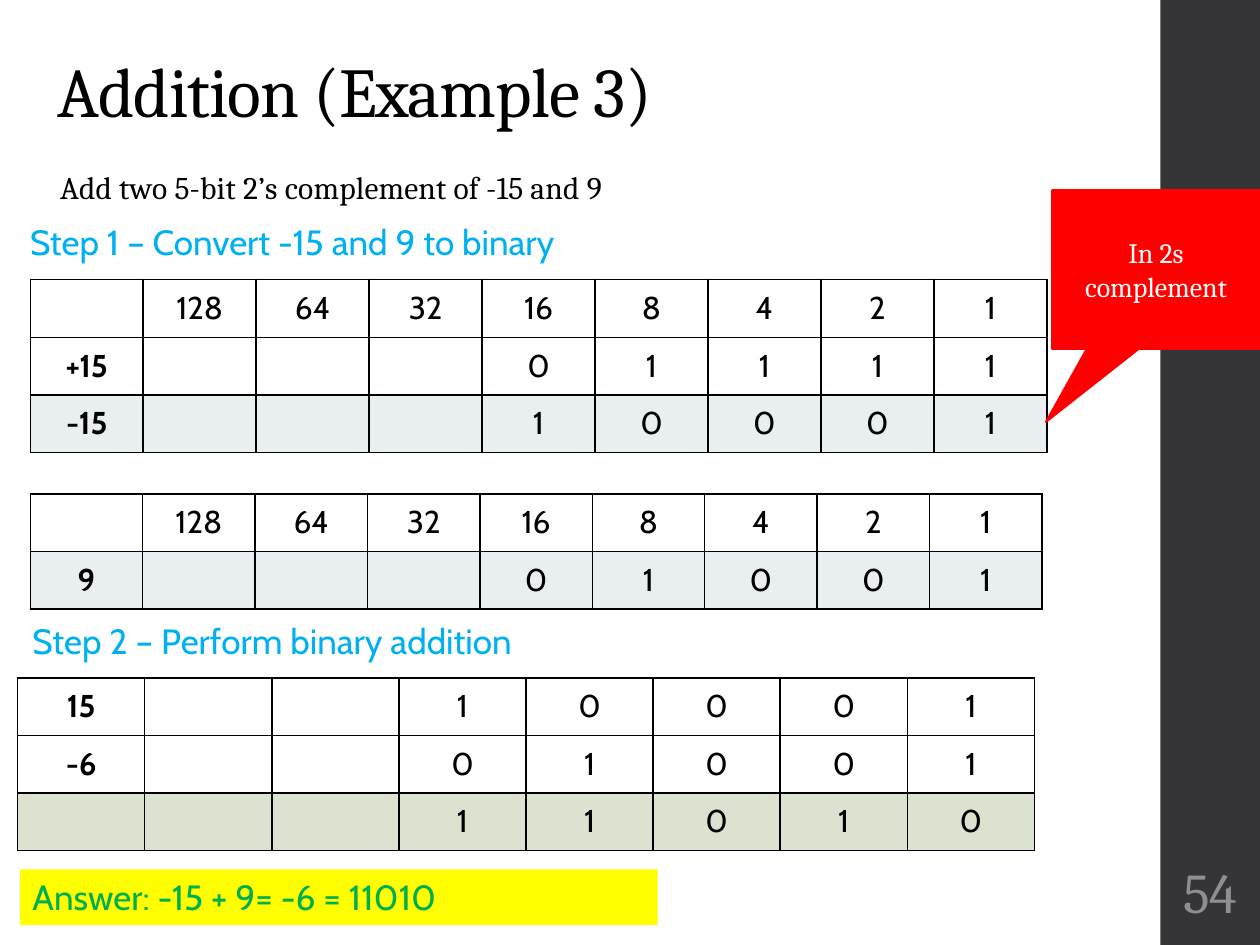
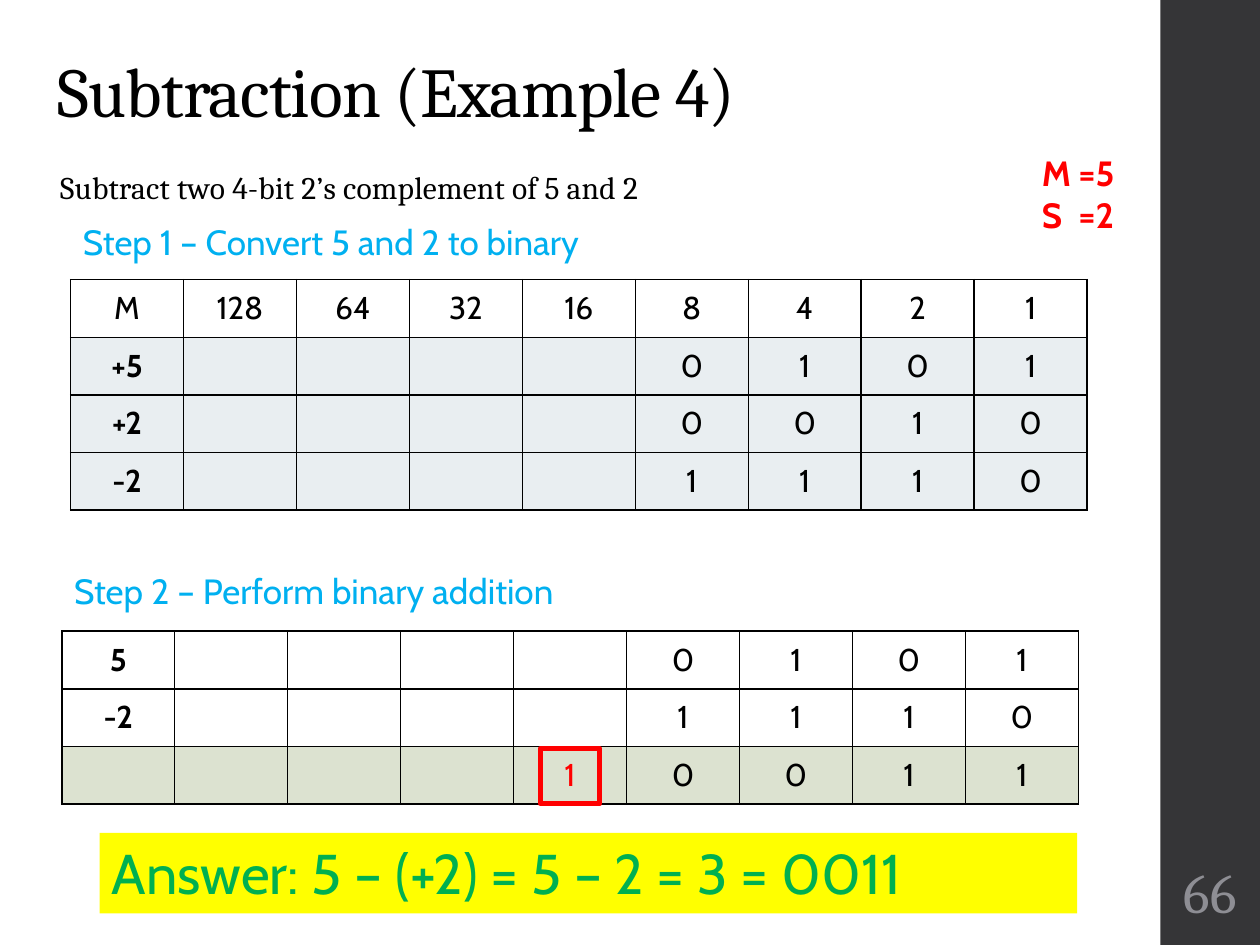
from dataclasses import dataclass

from lxml import etree
from pptx import Presentation
from pptx.dml.color import RGBColor
from pptx.enum import shapes, text
from pptx.oxml import ns
from pptx.util import Inches, Pt


@dataclass(frozen=True)
class Theme:
    serif: str = "Cambria"
    sans: str = "Cabin"
    ink: str = "000000"
    white: str = "FFFFFF"
    band: str = "353537"
    number: str = "8E8E94"
    step: str = "00B0F0"
    answer: str = "00B050"
    answer_fill: str = "FFFF00"
    accent: str = "FF0000"
    operand_fill: str = "E9EEF1"
    result_fill: str = "DCE2D0"
    title_size: int = 40
    number_size: int = 32
    big_answer_size: int = 32
    step_size: int = 20
    body_size: int = 18
    callout_size: int = 16


T = Theme()
PLACES = ["128", "64", "32", "16", "8", "4", "2", "1"]
ROW_HEIGHT = 0.457


def rgb(color):
    return RGBColor.from_string(color)


def style(p, size, color=T.ink, font=T.sans, bold=False, align=None):
    p.alignment = align
    p.font.name = font
    p.font.size = Pt(size)
    p.font.bold = bold
    p.font.color.rgb = rgb(color)


def add_text(slide, box, words, size, color=T.ink, font=T.sans, spacing=None,
             anchor=text.MSO_ANCHOR.TOP, align=None, line=None, fill=None):
    """Add one line of text; spacing is in hundredths of a point."""
    sp = slide.shapes.add_textbox(*map(Inches, box))
    tf = sp.text_frame
    tf.word_wrap = True
    tf.vertical_anchor = anchor
    p = tf.paragraphs[0]
    r = p.add_run()
    r.text = words
    style(p, size, color, font, align=align)
    if spacing:
        r._r.get_or_add_rPr().set("spc", str(spacing))
    if line:
        p.line_spacing = line
    if fill:
        sp.fill.solid()
        sp.fill.fore_color.rgb = rgb(fill)
    return sp


def add_block(slide, kind, box, fill=None, line=None, width=1):
    sp = slide.shapes.add_shape(kind, *map(Inches, box))
    sp.shadow.inherit = False
    if fill:
        sp.fill.solid()
        sp.fill.fore_color.rgb = rgb(fill)
    else:
        sp.fill.background()
    if line:
        sp.line.color.rgb = rgb(line)
        sp.line.width = Pt(width)
    else:
        sp.line.fill.background()
    return sp


def add_borders(cell):
    tc_pr = cell._tc.get_or_add_tcPr()
    for side in ("a:lnL", "a:lnR", "a:lnT", "a:lnB"):
        ln = etree.SubElement(tc_pr, ns.qn(side), w=str(Pt(1)))
        solid = etree.SubElement(ln, ns.qn("a:solidFill"))
        etree.SubElement(solid, ns.qn("a:srgbClr"), val=T.ink)


def add_bit_table(slide, left, top, rows, columns=9, width=8.07, header=None):
    """Rows are (label, bits, fill); bits are aligned to the right."""
    grid = [(label, list(bits), fill) for label, bits, fill in rows]
    if header is not None:
        grid.insert(0, (header, PLACES, None))
    table = slide.shapes.add_table(
        len(grid), columns, Inches(left), Inches(top),
        Inches(width), Inches(ROW_HEIGHT * len(grid))).table
    table.first_row = table.horz_banding = False
    for col in table.columns:
        col.width = Inches(width / columns)
    for i, (label, bits, fill) in enumerate(grid):
        table.rows[i].height = Inches(ROW_HEIGHT)
        padding = [""] * (columns - 1 - len(bits))
        for j, words in enumerate([label, *padding, *bits]):
            cell = table.cell(i, j)
            cell.vertical_anchor = text.MSO_ANCHOR.MIDDLE
            p = cell.text_frame.paragraphs[0]
            if words:
                p.add_run().text = words
            is_label = j == 0 and bits is not PLACES
            style(p, T.body_size, bold=is_label, align=text.PP_ALIGN.CENTER)
            add_borders(cell)
            if fill:
                cell.fill.solid()
                cell.fill.fore_color.rgb = rgb(fill)
            else:
                cell.fill.background()
    return table


def add_step(slide, left, top, words):
    add_text(slide, (left, top, 5.06, 0.44), words, T.step_size, T.step)


def add_answer(slide, box, words, size):
    add_text(slide, box, words, size, T.answer, fill=T.answer_fill)


def add_callout(slide, box, words, tip):
    sp = add_block(slide, shapes.MSO_SHAPE.RECTANGULAR_CALLOUT, box,
                   T.accent, T.accent, 1.1)
    sp.adjustments[0], sp.adjustments[1] = tip
    tf = sp.text_frame
    tf.word_wrap = True
    tf.vertical_anchor = text.MSO_ANCHOR.MIDDLE
    p = tf.paragraphs[0]
    p.add_run().text = words
    style(p, T.callout_size, T.white, T.serif, align=text.PP_ALIGN.CENTER)


def add_operands(slide, box, operands):
    """List the operands, with their equals signs on one tab stop."""
    tf = slide.shapes.add_textbox(*map(Inches, box)).text_frame
    tf.word_wrap = True
    for i, (name, value) in enumerate(operands):
        p = tf.add_paragraph() if i else tf.paragraphs[0]
        p.add_run().text = f"{name}\t={value}"
        tabs = etree.SubElement(p._p.get_or_add_pPr(), ns.qn("a:tabLst"))
        etree.SubElement(tabs, ns.qn("a:tab"), pos=str(Inches(0.29)), algn="l")
        style(p, T.step_size, T.accent, bold=True)


def add_base(prs, title, task, number):
    """Add a slide with the side band, title, task line and slide number."""
    slide = prs.slides.add_slide(prs.slide_layouts[6])
    add_block(slide, shapes.MSO_SHAPE.RECTANGLE, (9.21, 0, 0.79, 7.5), T.band)
    add_text(slide, (0.36, 0.29, 8.63, 0.81), title, T.title_size,
             font=T.serif, spacing=-50, line=0.9, anchor=text.MSO_ANCHOR.BOTTOM)
    add_text(slide, (0.38, 1.31, 8.63, 0.47), task, T.body_size,
             font=T.serif, spacing=10, line=0.95)
    sp = add_text(slide, (9.23, 6.75, 0.75, 0.65), number, T.number_size,
                  T.number, T.serif, anchor=text.MSO_ANCHOR.MIDDLE,
                  align=text.PP_ALIGN.CENTER)
    sp.text_frame.margin_left = sp.text_frame.margin_right = Inches(0.03)
    return slide


def build_addition(prs):
    slide = add_base(prs, "Addition (Example 3)",
                     "Add two 5-bit 2’s complement of -15 and 9", "54")
    # Step 1: operands in binary
    add_step(slide, 0.14, 1.7, "Step 1 – Convert -15 and 9 to binary")
    add_bit_table(slide, 0.24, 2.22, [("+15", "01111", None),
                                      ("-15", "10001", T.operand_fill)],
                  header="")
    add_bit_table(slide, 0.24, 3.92, [("9", "01001", T.operand_fill)],
                  width=8.03, header="")
    add_callout(slide, (8.35, 1.51, 1.65, 1.26), "In 2s complement",
                (-0.53, 0.96))
    # Step 2: sum
    add_step(slide, 0.16, 4.87, "Step 2 – Perform binary addition")
    add_bit_table(slide, 0.14, 5.38, [("15", "10001", None),
                                      ("-6", "01001", None),
                                      ("", "11010", T.result_fill)], columns=8)
    add_answer(slide, (0.16, 6.9, 5.06, 0.44),
               "Answer: -15 + 9= -6 = 11010", T.step_size)


def build_subtraction(prs):
    slide = add_base(prs, "Subtraction (Example 4)",
                     "Subtract two 4-bit 2’s complement of 5 and 2", "66")
    add_operands(slide, (8.17, 1.15, 0.95, 0.77), [("M", 5), ("S", 2)])
    # Step 1: operands in binary
    add_step(slide, 0.56, 1.7, "Step 1 – Convert 5 and 2 to binary")
    add_bit_table(slide, 0.56, 2.22, [("+5", "0101", T.operand_fill),
                                      ("+2", "0010", T.operand_fill),
                                      ("-2", "1110", T.operand_fill)],
                  header="M")
    # Step 2: sum, with the carry bit marked
    add_step(slide, 0.49, 4.47, "Step 2 – Perform binary addition")
    total = add_bit_table(slide, 0.49, 5.01, [("5", "0101", None),
                                              ("-2", "1110", None),
                                              ("", "10011", T.result_fill)])
    carry = total.cell(2, 4).text_frame.paragraphs[0]
    carry.font.color.rgb = rgb(T.accent)
    add_block(slide, shapes.MSO_SHAPE.RECTANGLE, (4.29, 5.94, 0.47, 0.44),
              line=T.accent, width=3)
    add_answer(slide, (0.79, 6.61, 7.76, 0.64),
               "Answer: 5 – (+2) = 5 – 2 = 3 = 0011", T.big_answer_size)


def main():
    prs = Presentation()
    prs.slide_width, prs.slide_height = Inches(10), Inches(7.5)
    build_addition(prs)
    build_subtraction(prs)
    prs.save("out.pptx")


if __name__ == "__main__":
    main()
